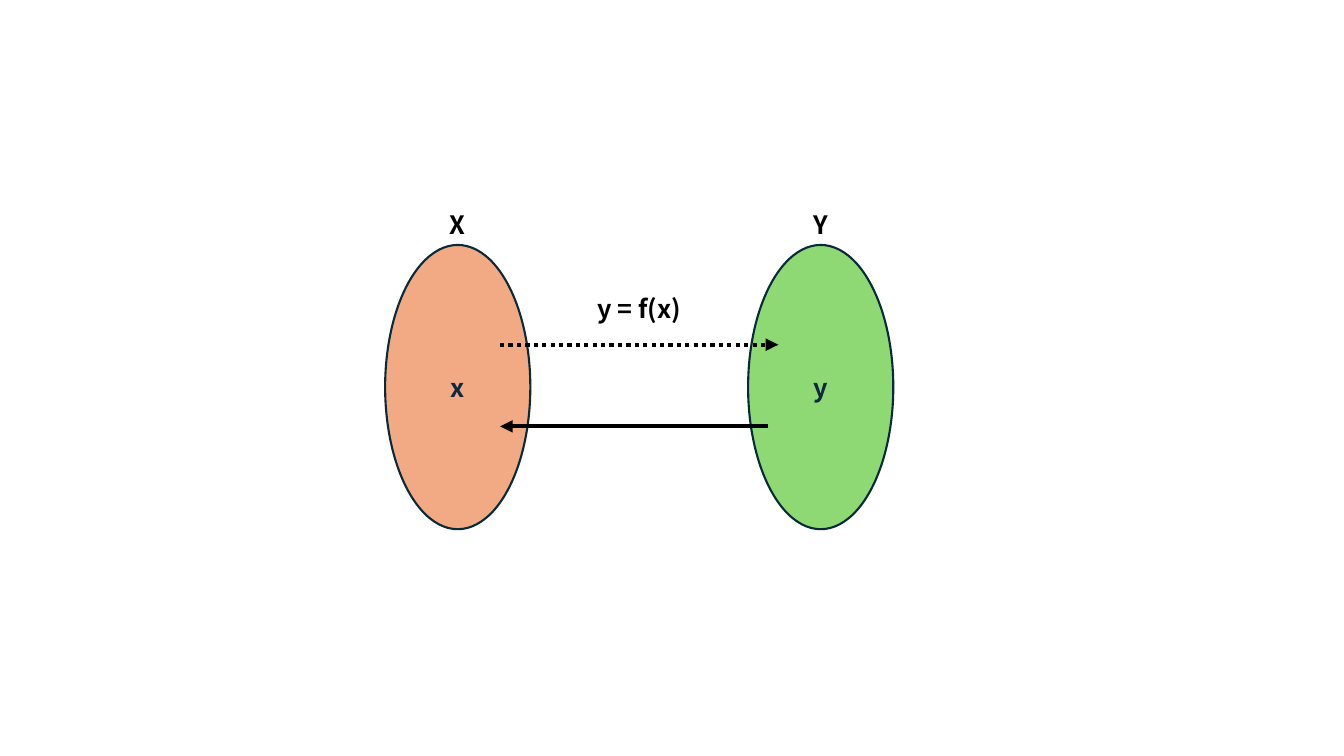
from lxml import etree
from pptx import Presentation
from pptx import util as u
from pptx.dml.color import RGBColor
from pptx.enum import dml, shapes, text
from pptx.oxml.ns import qn

FONT = "Noto Sans CJK KR"
BLACK = RGBColor(0x00, 0x00, 0x00)
NAVY = RGBColor(0x0E, 0x28, 0x41)
OUTLINE = RGBColor(0x09, 0x2A, 0x39)
ORANGE = RGBColor(0xF2, 0xAA, 0x84)
GREEN = RGBColor(0x8E, 0xD9, 0x73)

# Content: set name, element, fill
SETS = [("X", "x", ORANGE), ("Y", "y", GREEN)]
MAPPING = "y = f(x)"
# Arrows: start x, end x, y, dash
ARROWS = [
    (4.96, 7.72, 3.42, dml.MSO_LINE.ROUND_DOT),
    (7.62, 4.96, 4.23, None),
]

# Layout in inches
FIRST_CENTER, SET_STEP = 4.54, 3.6
SET_TOP, SET_WIDTH, SET_HEIGHT = 2.43, 1.44, 2.82
LABEL_HEIGHT = 0.4
MAPPING_TOP = 2.86

presentation = Presentation()
presentation.slide_width, presentation.slide_height = u.Inches(13.33), u.Inches(7.5)
slide = presentation.slides.add_slide(presentation.slide_layouts[6])


def write(shape, words, color=BLACK, size=18, bold=True):
    paragraph = shape.text_frame.paragraphs[0]
    paragraph.alignment = text.PP_ALIGN.CENTER
    run = paragraph.add_run()
    run.text = words
    run.font.name, run.font.size, run.font.bold = FONT, u.Pt(size), bold
    run.font.color.rgb = color


def add_label(words, center, top, width):
    box = slide.shapes.add_textbox(
        *map(u.Inches, (center - width / 2, top, width, LABEL_HEIGHT)))
    box.text_frame.word_wrap = False
    box.text_frame.auto_size = text.MSO_AUTO_SIZE.SHAPE_TO_FIT_TEXT
    write(box, words)


def add_set(element, center, fill):
    ellipse = slide.shapes.add_shape(
        shapes.MSO_SHAPE.OVAL,
        *map(u.Inches, (center - SET_WIDTH / 2, SET_TOP, SET_WIDTH, SET_HEIGHT)))
    ellipse.shadow.inherit = False
    ellipse.fill.solid()
    ellipse.fill.fore_color.rgb = fill
    ellipse.line.color.rgb = OUTLINE
    ellipse.line.width = u.Pt(1.5)
    ellipse.text_frame.vertical_anchor = text.MSO_ANCHOR.MIDDLE
    write(ellipse, element, color=NAVY)


def add_arrow(start, end, y, dash):
    arrow = slide.shapes.add_connector(
        shapes.MSO_CONNECTOR.STRAIGHT, *map(u.Inches, (start, y, end, y)))
    arrow.line.color.rgb = BLACK
    arrow.line.width = u.Pt(3)
    if dash is not None:
        arrow.line.dash_style = dash
    etree.SubElement(arrow.line._get_or_add_ln(), qn("a:tailEnd"), type="triangle")
    etree.SubElement(arrow._element.spPr, qn("a:effectLst"))


# Sets with their names above
for index, (name, element, fill) in enumerate(SETS):
    center = FIRST_CENTER + index * SET_STEP
    add_set(element, center, fill)
    add_label(name, center, SET_TOP - LABEL_HEIGHT, 0.37)

# Mapping between the sets
for arrow in ARROWS:
    add_arrow(*arrow)
add_label(MAPPING, FIRST_CENTER + SET_STEP / 2, MAPPING_TOP, 1.11)

presentation.save("out.pptx")
